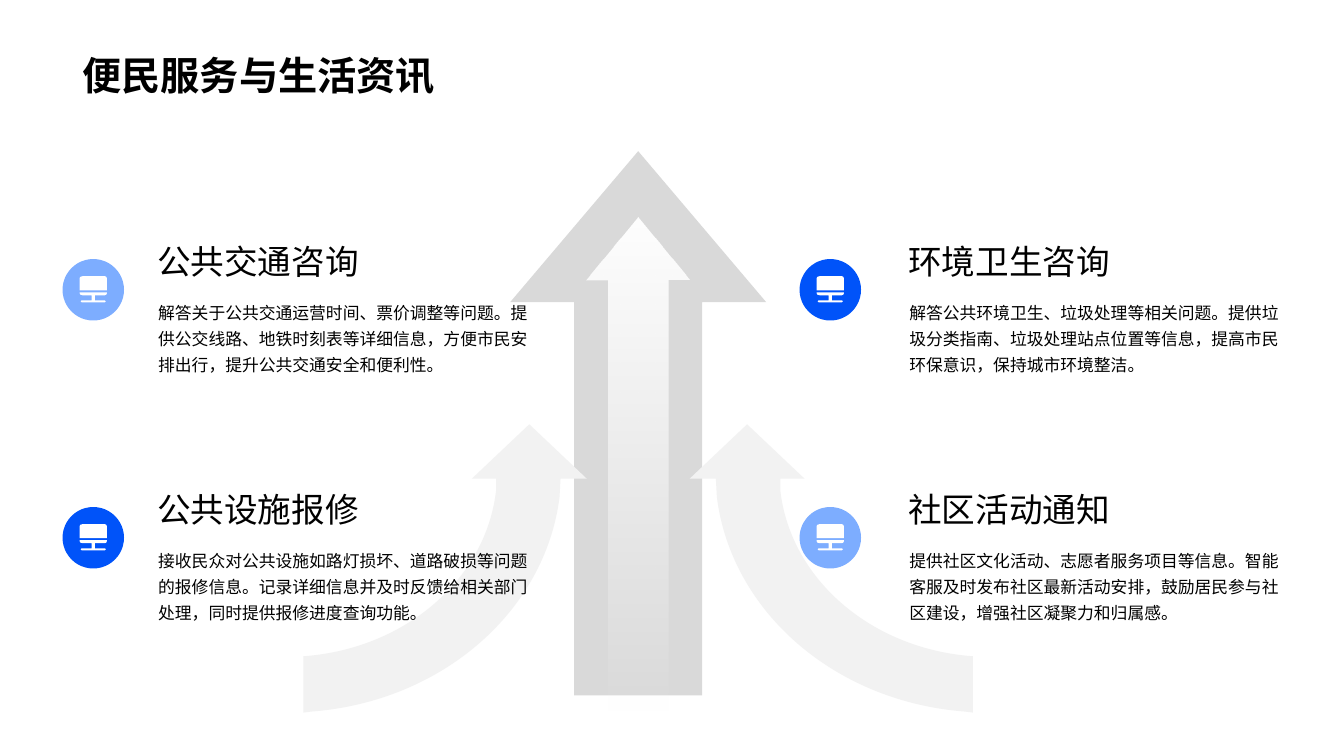
from lxml.etree import SubElement
from pptx import Presentation
from pptx.dml.color import RGBColor
from pptx.enum.shapes import MSO_SHAPE
from pptx.enum.text import MSO_ANCHOR
from pptx.oxml.ns import qn
from pptx.util import Inches, Pt

FONT = "Noto Sans CJK JP"
COLORS = {
    "blue": "0053F9",
    "light_blue": "7DADFF",
    "arrow": "D9D9D9",
    "sweep": "F2F2F2",
    "white": "FFFFFF",
    "text": "000000",
}

presentation = Presentation()
presentation.slide_width = Inches(13.33)
presentation.slide_height = Inches(7.5)
slide = presentation.slides.add_slide(presentation.slide_layouts[6])
shapes = slide.shapes


def add_outline(contours, color, left=0, top=0, direction=1):
    builder = None
    segments = []
    for contour in contours:
        placed = [
            [(Inches(left + direction * x), Inches(top + y))
             for x, y in zip(segment[::2], segment[1::2])]
            for segment in contour
        ]
        if builder is None:
            builder = shapes.build_freeform(*placed[0][0], scale=1.0)
        else:
            builder.move_to(*placed[0][0])
        builder.add_line_segments([points[-1] for points in placed[1:]], close=True)
        segments += placed[1:]
    shape = builder.convert_to_shape()
    lines = list(shape._element.iter(qn("a:lnTo")))
    for line, points in zip(lines, segments):
        if len(points) == 3:
            curve = SubElement(line.getparent(), qn("a:cubicBezTo"))
            for x, y in points:
                point = SubElement(curve, qn("a:pt"))
                point.set("x", str(x - shape.left))
                point.set("y", str(y - shape.top))
            line.getparent().replace(line, curve)
    shape.shadow.inherit = False
    shape.fill.solid()
    shape.fill.fore_color.rgb = RGBColor.from_string(COLORS[color])
    shape.line.fill.background()


def add_text(text, left, top, width, height, size, wrap=True, bold=False, spacing=None):
    box = shapes.add_textbox(Inches(left), Inches(top), Inches(width), Inches(height))
    box.text_frame.word_wrap = wrap
    paragraph = box.text_frame.paragraphs[0]
    if spacing:
        paragraph.line_spacing = spacing
    run = paragraph.add_run()
    run.text = text
    run.font.size = Pt(size)
    run.font.bold = bold
    run.font.name = FONT
    run.font.color.rgb = RGBColor.from_string(COLORS["text"])
    SubElement(run.font._element, qn("a:ea")).set("typeface", FONT)
    return box


monitor_stand = [
    (0, 0.16), (0.27, 0.16), (0.27, 0.17), (0.27, 0.18, 0.26, 0.19, 0.25, 0.19),
    (0.15, 0.19), (0.15, 0.24), (0.25, 0.24),
    (0.25, 0.24, 0.26, 0.25, 0.26, 0.25), (0.26, 0.26, 0.25, 0.26, 0.25, 0.26),
    (0.02, 0.26), (0.02, 0.26, 0.01, 0.26, 0.01, 0.25), (0.01, 0.25, 0.02, 0.24, 0.02, 0.24),
    (0.12, 0.24), (0.12, 0.19), (0.03, 0.19), (0.01, 0.19, 0, 0.18, 0, 0.17),
]
monitor_screen = [
    (0.03, 0), (0.25, 0), (0.26, 0, 0.27, 0.01, 0.27, 0.02),
    (0.27, 0.14), (0, 0.14), (0, 0.02), (0, 0.01, 0.01, 0, 0.03, 0),
]
sweep = [
    (5.25, 4.21), (5.82, 4.75), (5.56, 4.75), (5.55, 4.93),
    (5.41, 6.06, 4.39, 6.96, 3.09, 7.06), (3.01, 7.07), (3.01, 6.51), (3.03, 6.51),
    (4.03, 6.43, 4.82, 5.74, 4.92, 4.87), (4.92, 4.75), (4.68, 4.75),
]

services = [
    (0.62, 1.47, 2.34, "light_blue", "公共交通咨询",
     "解答关于公共交通运营时间、票价调整等问题。提供公交线路、地铁时刻表等详细信息，方便市民安排出行，提升公共交通安全和便利性。"),
    (0.62, 1.47, 4.8, "blue", "公共设施报修",
     "接收民众对公共设施如路灯损坏、道路破损等问题的报修信息。记录详细信息并及时反馈给相关部门处理，同时提供报修进度查询功能。"),
    (7.93, 8.92, 2.34, "blue", "环境卫生咨询",
     "解答公共环境卫生、垃圾处理等相关问题。提供垃圾分类指南、垃圾处理站点位置等信息，提高市民环保意识，保持城市环境整洁。"),
    (7.93, 8.92, 4.8, "light_blue", "社区活动通知",
     "提供社区文化活动、志愿者服务项目等信息。智能客服及时发布社区最新活动安排，鼓励居民参与社区建设，增强社区凝聚力和归属感。"),
]

for icon_left, text_left, top, color, heading, body in services:
    icon_top = top + 0.23
    circle = shapes.add_shape(
        MSO_SHAPE.OVAL, Inches(icon_left), Inches(icon_top), Inches(0.61), Inches(0.61)
    )
    circle.shadow.inherit = False
    circle.fill.solid()
    circle.fill.fore_color.rgb = RGBColor.from_string(COLORS[color])
    circle.line.fill.background()
    add_outline([monitor_stand, monitor_screen], "white", icon_left + 0.17, icon_top + 0.17)

main_arrow = shapes.add_shape(
    MSO_SHAPE.UP_ARROW, Inches(5.06), Inches(1.5), Inches(2.54), Inches(5.4)
)
main_arrow.adjustments[0] = 0.5
main_arrow.adjustments[1] = 0.59
main_arrow.fill.solid()
main_arrow.fill.fore_color.rgb = RGBColor.from_string(COLORS["arrow"])

add_outline([sweep], "sweep")
add_outline([sweep], "sweep", left=12.66, direction=-1)

inner_arrow = shapes.add_shape(
    MSO_SHAPE.UP_ARROW, Inches(5.82), Inches(2.16), Inches(1.02), Inches(4.91)
)
inner_arrow.adjustments[0] = 0.58
inner_arrow.adjustments[1] = 0.61
inner_arrow.fill.gradient()
inner_arrow.fill.gradient_angle = 270
for stop in inner_arrow.fill.gradient_stops:
    stop.color.rgb = RGBColor.from_string(COLORS["white"])
last_color = inner_arrow._element.spPr.findall(".//" + qn("a:srgbClr"))[-1]
SubElement(last_color, qn("a:alpha")).set("val", "0")

for arrow in (main_arrow, inner_arrow):
    arrow.shadow.inherit = False
    arrow.line.fill.background()

for icon_left, text_left, top, color, heading, body in services:
    add_text(body, text_left, top + 0.55, 3.89, 2.04, 12, spacing=1.3)
    add_text(heading, text_left - 0.01, top, 3.91, 0.55, 24, wrap=False)

title = add_text("便民服务与生活资讯", 0.72, 0.46, 11.67, 0.57, 28, bold=True)
title.text_frame.vertical_anchor = MSO_ANCHOR.BOTTOM

presentation.save("out.pptx")
